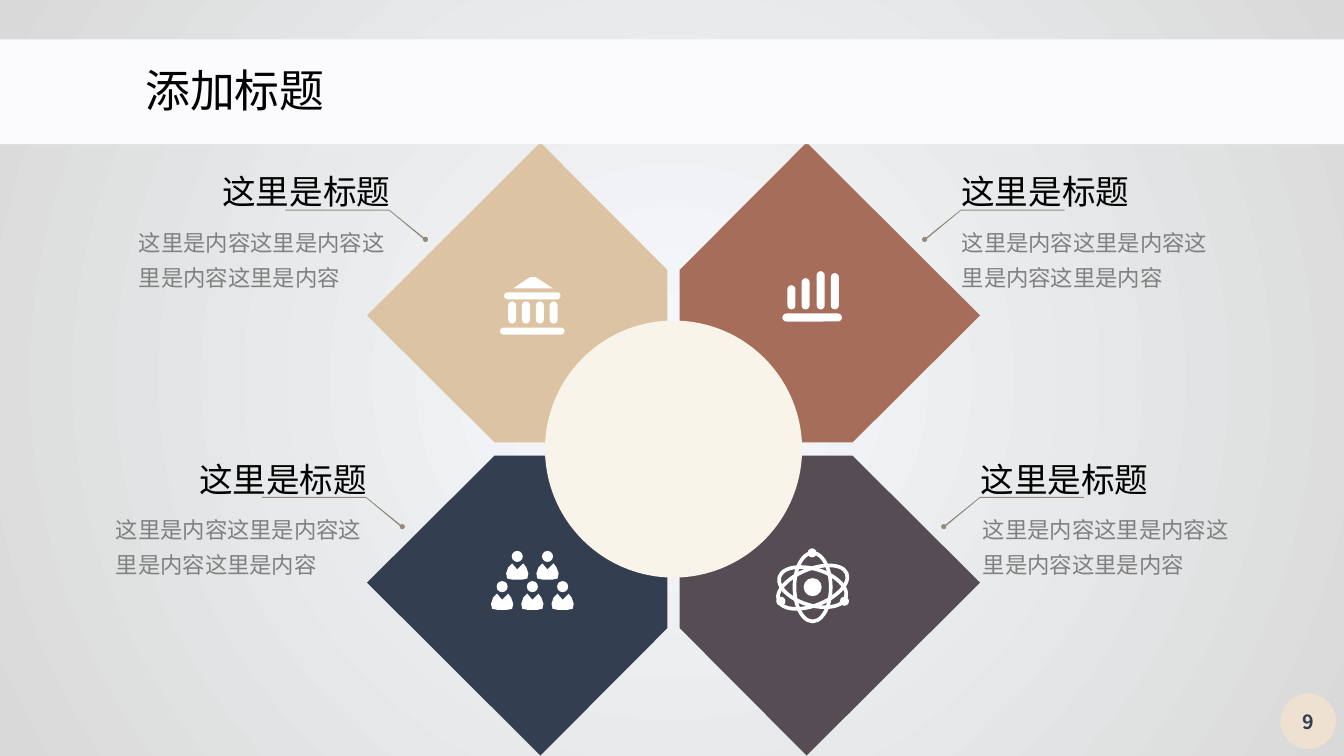
from dataclasses import dataclass

from lxml import etree
from pptx import Presentation
from pptx import util as u
from pptx.dml.color import RGBColor
from pptx.enum import shapes, text
from pptx.oxml.ns import qn

FONT = "Noto Sans CJK SC"
COLORS = {
    "glow": "F7FAFD", "edge": "D9D9D9", "band": "FBFBFE", "hub": "F8F4EA",
    "sand": "DCC3A4", "clay": "A66E5A", "navy": "333F50", "plum": "554D53",
    "badge": "EEE1D2", "leader": "908B7E", "white": "FFFFFF",
    "heading": "000000", "body": "808080",
}
OVAL = shapes.MSO_SHAPE.OVAL
PILL = shapes.MSO_SHAPE.ROUNDED_RECTANGLE
ALIGN = text.PP_ALIGN
HUB_X, HUB_Y = 6.68, 4.455


@dataclass(frozen=True)
class Petal:
    color: str
    side: int  # -1 left, 1 right
    row: int  # -1 top, 1 bottom


@dataclass(frozen=True)
class Callout:
    side: int
    tip_x: float
    tip_y: float
    heading_left: float
    body_left: float


PETALS = [Petal("clay", 1, -1), Petal("navy", -1, 1),
          Petal("plum", 1, 1), Petal("sand", -1, -1)]
PETAL_OUTLINE = [(0.06, 0.065), (0.06, 1.775), (1.32, 3.04),
                 (3.04, 1.325), (1.775, 0.065)]
CALLOUTS = [
    Callout(-1, 4.22, 2.37, 2.09, 1.28),
    Callout(-1, 3.99, 5.22, 1.86, 1.05),
    Callout(1, 9.36, 5.22, 9.61, 9.65),
    Callout(1, 9.17, 2.37, 9.42, 9.44),
]
LEADER_OUTLINE = [(0.01, 0.01), (0.36, -0.28), (1.39, -0.28),
                  (1.39, -0.29), (0.36, -0.29), (0, 0)]
TORSO_OUTLINE = [(-0.05, 0), (0, 0.06), (0.06, 0), (0.09, 0.04), (0.11, 0.1),
                 (0.1, 0.15), (0.05, 0.16), (-0.05, 0.16), (-0.1, 0.15),
                 (-0.11, 0.1), (-0.09, 0.04)]


def rgb(name: str) -> RGBColor:
    return RGBColor.from_string(COLORS[name])


def paint(shape, color: str):
    shape.fill.solid()
    shape.fill.fore_color.rgb = rgb(color)
    shape.line.fill.background()
    shape.shadow.inherit = False
    return shape


def add_preset(parent, kind, left: float, top: float, width: float,
               height: float, color: str = "white"):
    shape = parent.add_shape(kind, *map(u.Inches, (left, top, width, height)))
    if kind == PILL:
        shape.adjustments[0] = 0.5
    return paint(shape, color)


def add_dot(parent, x: float, y: float, size: float, color: str = "white"):
    return add_preset(parent, OVAL, x - size / 2, y - size / 2, size, size, color)


def add_outline(parent, points: list, color: str = "white"):
    start, *rest = [(u.Inches(x), u.Inches(y)) for x, y in points]
    builder = parent.build_freeform(*start)
    builder.add_line_segments(rest, close=True)
    return paint(builder.convert_to_shape(), color)


def write(shape, words: str, *, size: float, color: str, align=ALIGN.LEFT,
          bold: bool = False, wrap: bool = True, spacing: float = 1.0,
          anchor=text.MSO_ANCHOR.TOP) -> None:
    frame = shape.text_frame
    frame.auto_size = text.MSO_AUTO_SIZE.NONE
    frame.word_wrap = wrap
    frame.vertical_anchor = anchor
    paragraph = frame.paragraphs[0]
    paragraph.alignment = align
    paragraph.line_spacing = spacing
    run = paragraph.add_run()
    run.text = words
    run.font.name = FONT
    run.font.size = u.Pt(size)
    run.font.bold = bold
    run.font.color.rgb = rgb(color)
    east_asian = etree.SubElement(run.font._element, qn("a:ea"))
    east_asian.set("typeface", FONT)


def add_text(parent, left: float, top: float, width: float, height: float,
             words: str, **style) -> None:
    box = parent.add_textbox(*map(u.Inches, (left, top, width, height)))
    write(box, words, **style)


def set_background(slide) -> None:
    fill = slide.background.fill
    fill.gradient()
    for stop, color, position in zip(fill.gradient_stops, ("glow", "edge"), (0, 1)):
        stop.color.rgb = rgb(color)
        stop.position = position
    linear = next(slide.element.iter(qn("a:lin")))
    gradient = linear.getparent()
    gradient.remove(linear)
    radial = etree.SubElement(gradient, qn("a:path"), path="circle")
    etree.SubElement(radial, qn("a:fillToRect"),
                     {edge: "50000" for edge in "ltrb"})


def draw_chart_icon(parent) -> None:
    add_preset(parent, PILL, 7.76, 3.11, 0.59, 0.08)
    for left, top in ((7.81, 2.83), (7.95, 2.76), (8.1, 2.69), (8.24, 2.71)):
        add_preset(parent, PILL, left, top, 0.08, 3.07 - top)


def draw_bank_icon(parent) -> None:
    add_preset(parent, PILL, 4.96, 3.25, 0.64, 0.07)
    for column in range(4):
        add_preset(parent, PILL, 5.04 + 0.137 * column, 2.99, 0.08, 0.22)
    add_outline(parent, [(5.09, 2.86), (5.24, 2.76), (5.26, 2.75),
                         (5.31, 2.75), (5.33, 2.76), (5.48, 2.86)])
    add_preset(parent, PILL, 5, 2.9, 0.56, 0.07)


def draw_people_icon(parent) -> None:
    for x, y in ((5.28, 5.82), (4.98, 5.82), (5.58, 5.82), (5.13, 5.52), (5.43, 5.52)):
        add_dot(parent, x, y, 0.11)
        add_outline(parent, [(x + dx, y + 0.07 + dy) for dx, dy in TORSO_OUTLINE])


def draw_atom_icon(parent) -> None:
    x, y = 8.06, 5.825
    for width, height, angle in ((0.36, 0.68, 0), (0.73, 0.36, -22), (0.69, 0.36, 17)):
        orbit = add_preset(parent, OVAL, x - width / 2, y - height / 2, width, height)
        orbit.fill.background()
        orbit.line.color.rgb = rgb("white")
        orbit.line.width = u.Pt(2.6)
        orbit.rotation = angle
    add_dot(parent, x, y, 0.18)
    for dot_x, dot_y in ((8.375, 5.965), (7.745, 5.965), (8.055, 5.485)):
        add_dot(parent, dot_x, dot_y, 0.09)


def draw_callout(parent, callout: Callout) -> None:
    x, y = callout.tip_x, callout.tip_y
    add_outline(parent, [(x + callout.side * dx, y + dy)
                         for dx, dy in LEADER_OUTLINE], "leader")
    add_dot(parent, x, y + 0.005, 0.05, "leader")
    add_text(parent, callout.heading_left, y - 0.72, 1.88, 0.5, "这里是标题",
             size=24, color="heading", align=ALIGN.RIGHT, wrap=False)
    add_text(parent, callout.body_left, y - 0.23, 2.84, 0.77,
             "这里是内容这里是内容这里是内容这里是内容",
             size=16, color="body", spacing=1.3)


def main() -> None:
    presentation = Presentation()
    presentation.slide_width = u.Inches(13.33)
    presentation.slide_height = u.Inches(7.5)
    slide = presentation.slides.add_slide(presentation.slide_layouts[5])
    canvas = slide.shapes
    set_background(slide)

    # Page number
    add_preset(canvas, OVAL, 12.7, 6.88, 0.55, 0.55, "badge")
    add_text(canvas, 12.64, 6.96, 0.67, 0.4, "9", size=14, color="navy",
             bold=True, align=ALIGN.CENTER, anchor=text.MSO_ANCHOR.MIDDLE)

    # Four petals around the hub
    for petal in PETALS:
        add_outline(canvas, [(HUB_X + petal.side * dx, HUB_Y + petal.row * dy)
                             for dx, dy in PETAL_OUTLINE], petal.color)
    add_dot(canvas, HUB_X, HUB_Y, 2.55, "hub")

    # Icons, one group each
    for draw_icon in (draw_chart_icon, draw_bank_icon, draw_people_icon, draw_atom_icon):
        draw_icon(canvas.add_group_shape().shapes)

    # Callouts
    for callout in CALLOUTS:
        draw_callout(canvas.add_group_shape().shapes, callout)

    # Title on its band, in front of the petals
    add_preset(canvas, shapes.MSO_SHAPE.RECTANGLE, -0.09, 0.39, 13.5, 1.04, "band")
    title = canvas.title
    title.left, title.top, title.width, title.height = map(
        u.Inches, (1.34, 0.57, 2.2, 0.64))
    write(title, "添加标题", size=32, color="heading")
    title.element.getparent().append(title.element)

    presentation.save("out.pptx")


if __name__ == "__main__":
    main()
